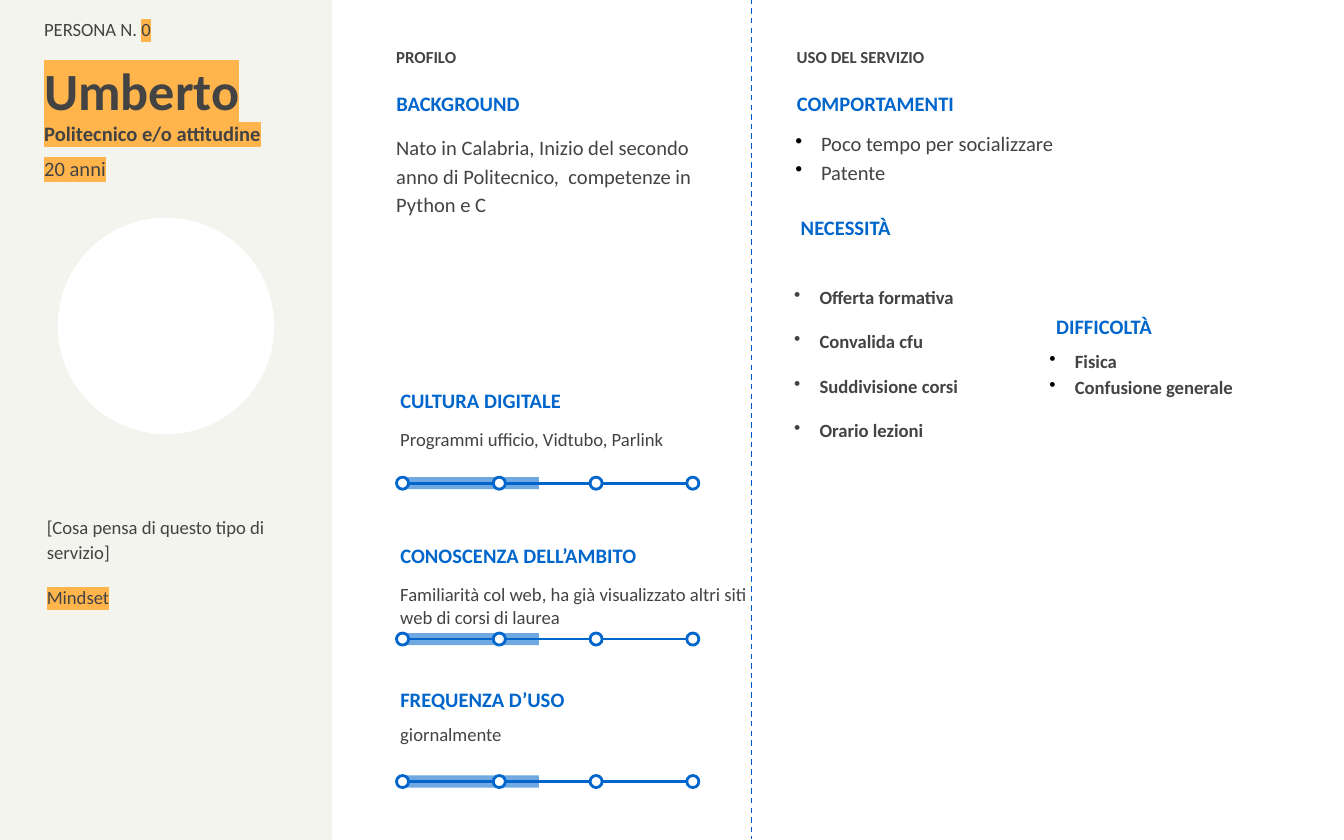
"""Build the persona slide for a university service."""
from dataclasses import dataclass
from typing import Any, Optional

from lxml.etree import SubElement
from pptx import Presentation
from pptx.dml.color import RGBColor
from pptx.enum.dml import MSO_LINE
from pptx.enum.shapes import MSO_CONNECTOR, MSO_SHAPE
from pptx.enum.text import MSO_ANCHOR, MSO_AUTO_SIZE, PP_ALIGN
from pptx.oxml import parse_xml
from pptx.oxml.ns import nsdecls, qn
from pptx.util import Inches, Pt

BLUE = RGBColor(0x00, 0x66, 0xCC)
DIVIDER = RGBColor(0x00, 0x56, 0xCB)
GREY = RGBColor(0x43, 0x43, 0x43)
PANEL = RGBColor(0xF4, 0xF4, 0xEF)
WHITE = RGBColor(0xFF, 0xFF, 0xFF)
BLACK = RGBColor(0x00, 0x00, 0x00)
ORANGE = RGBColor(0xFF, 0xB5, 0x4C)

DOT = 0.09
DOT_STEP = 0.72
SCALE_LEFT = 2.95

FRAME = dict(word_wrap=True, auto_size=MSO_AUTO_SIZE.NONE,
             margin_left=Inches(0.1), margin_right=Inches(0.1),
             margin_top=Inches(0.1), margin_bottom=Inches(0.1))


@dataclass(frozen=True)
class Run:
    text: str
    marked: bool = False


@dataclass(frozen=True)
class Para:
    runs: tuple[Run, ...]
    spacing: float = 1.0
    before: float = 0
    after: float = 0
    bullet: Optional[RGBColor] = None


@dataclass(frozen=True)
class Block:
    box: tuple[float, float, float, float]
    paras: tuple[Para, ...]
    size: float = 10
    color: RGBColor = GREY
    bold: bool = False
    anchor: MSO_ANCHOR = MSO_ANCHOR.TOP


@dataclass(frozen=True)
class Scale:
    title: str
    note: str
    title_top: float
    note_top: float
    dot_top: float


def apply(target: Any, values: dict) -> None:
    for name, value in values.items():
        setattr(target, name, value)


def plain(text: str, marked: bool = False, **options: Any) -> Para:
    return Para((Run(text, marked),), **options)


def bullets(*items: str, color: RGBColor = BLACK, after: float = 0) -> tuple[Para, ...]:
    return tuple(plain(i, spacing=1.15, after=after, bullet=color) for i in items)


def heading(text: str, left: float, top: float, width: float = 2.68,
            height: float = 0.34, size: float = 11, color: RGBColor = BLUE) -> Block:
    return Block((left, top, width, height), (plain(text),), size, color, True, MSO_ANCHOR.MIDDLE)


def add_bullet(p: Any, color: RGBColor) -> None:
    pPr = p._p.get_or_add_pPr()
    pPr.set("marL", str(Inches(0.19)))
    pPr.set("indent", str(-Inches(0.19)))
    SubElement(SubElement(pPr, qn("a:buClr")), qn("a:srgbClr"), val=str(color))
    SubElement(pPr, qn("a:buChar"), char="•")


def fill_text(sp: Any, block: Block) -> None:
    tf = sp.text_frame
    apply(tf, FRAME | dict(vertical_anchor=block.anchor))
    for i, para in enumerate(block.paras):
        p = tf.add_paragraph() if i else tf.paragraphs[0]
        apply(p, dict(alignment=PP_ALIGN.LEFT, line_spacing=para.spacing,
                      space_before=Pt(para.before), space_after=Pt(para.after)))
        if para.bullet is not None:
            add_bullet(p, para.bullet)
        for run in para.runs:
            r = p.add_run()
            r.text = run.text
            apply(r.font, dict(name="Calibri", size=Pt(block.size), bold=block.bold))
            r.font.color.rgb = block.color
            if run.marked:
                r.font._element.find(qn("a:solidFill")).addnext(parse_xml(
                    f'<a:highlight {nsdecls("a")}><a:srgbClr val="{ORANGE}"/></a:highlight>'))


def add_text(s: Any, block: Block) -> None:
    fill_text(s.shapes.add_textbox(*map(Inches, block.box)), block)


def add_shape(s: Any, kind: MSO_SHAPE, box: tuple[float, float, float, float], fill: RGBColor,
              line: Optional[RGBColor] = None, alpha: Optional[int] = None) -> Any:
    sp = s.shapes.add_shape(kind, *map(Inches, box))
    sp.shadow.inherit = False
    sp.fill.solid()
    sp.fill.fore_color.rgb = fill
    if alpha is not None:
        color = sp.element.spPr.find(f'{qn("a:solidFill")}/{qn("a:srgbClr")}')
        SubElement(color, qn("a:alpha"), val=str(alpha * 1000))
    if line is None:
        sp.line.fill.background()
    else:
        sp.line.color.rgb = line
        sp.line.width = Pt(1.5)
    return sp


def add_line(s: Any, ends: tuple[float, float, float, float], color: RGBColor,
             width: float, dash: Optional[MSO_LINE] = None) -> None:
    c = s.shapes.add_connector(MSO_CONNECTOR.STRAIGHT, *map(Inches, ends))
    c.line.color.rgb = color
    apply(c.line, dict(width=Pt(width), dash_style=dash))
    SubElement(c.element.spPr, qn("a:effectLst"))


def add_scale(s: Any, scale: Scale) -> None:
    top, mid = scale.dot_top, scale.dot_top + DOT / 2
    add_line(s, (SCALE_LEFT + DOT, mid, SCALE_LEFT + 3 * DOT_STEP + DOT, mid), BLUE, 1.5)
    add_shape(s, MSO_SHAPE.RECTANGLE, (3, top, 1.01, DOT), BLUE, alpha=56)
    for i in range(4):
        add_shape(s, MSO_SHAPE.OVAL, (SCALE_LEFT + i * DOT_STEP, top, DOT, DOT), WHITE, BLUE)
    add_text(s, heading(scale.title, 2.88, scale.title_top, 2.48, 0.31))
    add_text(s, Block((2.88, scale.note_top, 2.77, 0.34), (plain(scale.note),)))


NAME = Block((0.23, 0.46, 2.09, 0.41), (plain("Umberto", True),), 28, GREY, True, MSO_ANCHOR.MIDDLE)

BLOCKS = (
    Block((0.23, 0.01, 2.24, 0.29), (Para((Run("PERSONA N. "), Run("0", True)), 1.15),)),
    Block((0.23, 0.8, 2.19, 0.34), (plain("Politecnico e/o attitudine", True),), 11, bold=True),
    Block((0.23, 1.06, 2.19, 0.34), (plain("20 anni", True),), 11),
    Block((0.25, 3.71, 2.09, 1.52), (
        plain("[Cosa pensa di questo tipo di servizio]", spacing=1.15),
        plain("Mindset", True, before=12))),
    heading("PROFILO", 2.85, 0.27, 1.54, 0.31, 9, GREY),
    heading("BACKGROUND", 2.85, 0.6),
    Block((2.85, 0.88, 2.57, 0.34), (
        plain("Nato in Calabria, Inizio del secondo anno di Politecnico,  "
              "competenze in Python e C", spacing=1.15),), 11),
    heading("USO DEL SERVIZIO", 5.83, 0.27, 1.54, 0.31, 9, GREY),
    heading("COMPORTAMENTI", 5.83, 0.6),
    Block((5.82, 0.85, 3.71, 0.34), bullets("Poco tempo per socializzare", "Patente"), 11),
    heading("NECESSITÀ", 5.86, 1.52, 1.73),
    Block((5.81, 2.0, 1.83, 2.35), bullets(
        "Offerta formativa", "Convalida cfu", "Suddivisione corsi", "Orario lezioni",
        color=GREY, after=10), bold=True),
    heading("DIFFICOLTÀ", 7.76, 2.26, 1.73),
    Block((7.71, 2.48, 1.83, 2.44), bullets("Fisica", "Confusione generale"), bold=True),
)

SCALES = (
    Scale("CULTURA DIGITALE", "Programmi ufficio, Vidtubo, Parlink", 2.82, 3.08, 3.55),
    Scale("CONOSCENZA DELL’AMBITO",
          "Familiarità col web, ha già visualizzato altri siti web di corsi di laurea",
          3.98, 4.24, 4.71),
    Scale("FREQUENZA D’USO", "giornalmente", 5.05, 5.28, 5.77),
)


def main() -> None:
    prs = Presentation()
    apply(prs, dict(slide_width=Inches(10), slide_height=Inches(6.25)))
    s = prs.slides.add_slide(prs.slide_layouts[5])
    title = s.shapes.title
    apply(title, dict(zip(("left", "top", "width", "height"), map(Inches, NAME.box))))
    fill_text(title, NAME)
    panel = add_shape(s, MSO_SHAPE.RECTANGLE, (-0.01, -0.03, 2.48, 6.29), PANEL)
    title.element.addprevious(panel.element)
    add_shape(s, MSO_SHAPE.OVAL, (0.43, 1.62, 1.61, 1.61), WHITE)
    add_line(s, (5.59, -0.01, 5.59, 6.24), DIVIDER, 0.75, MSO_LINE.DASH)
    for block in BLOCKS:
        add_text(s, block)
    for scale in SCALES:
        add_scale(s, scale)
    prs.save("out.pptx")


if __name__ == "__main__":
    main()
